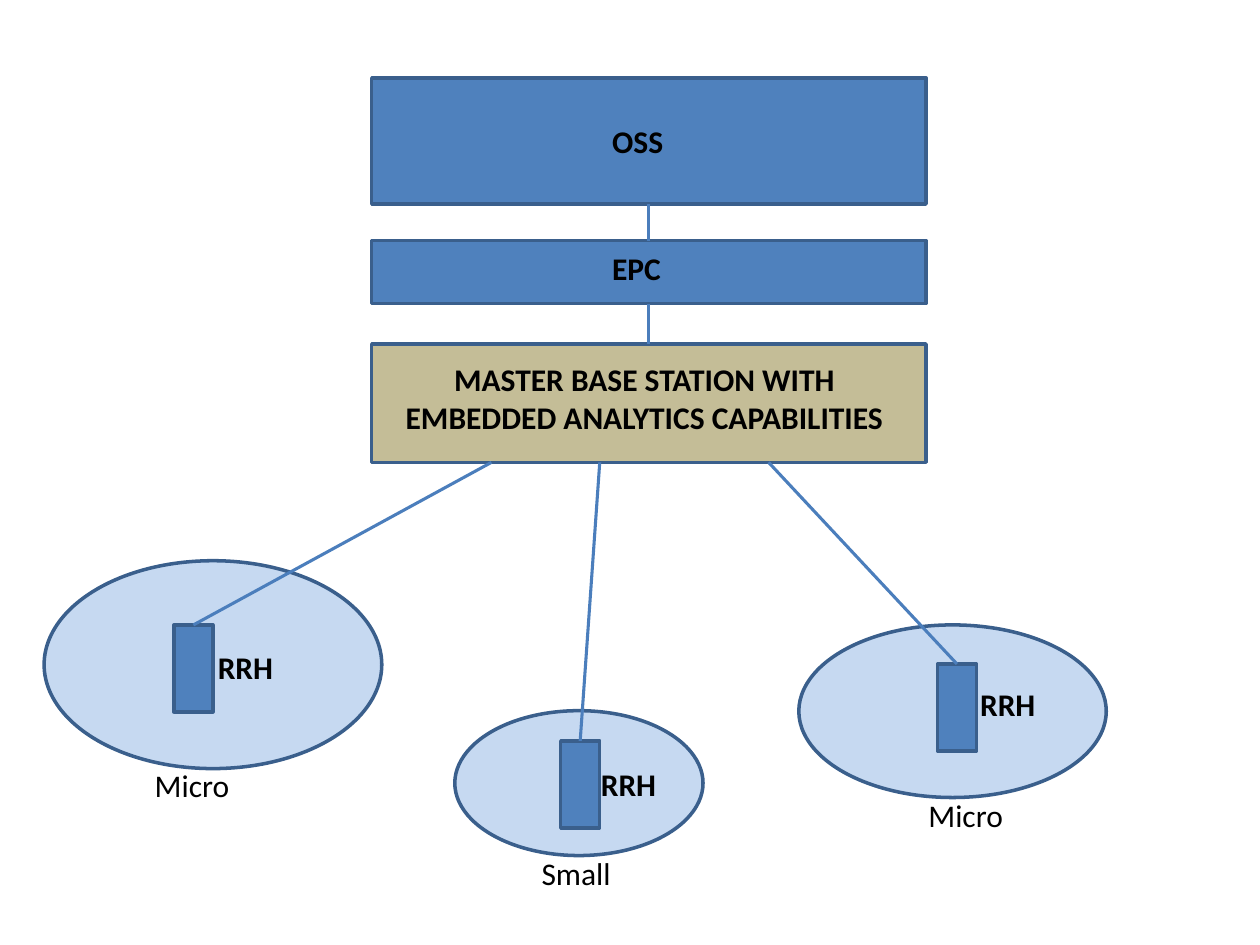
from lxml import etree
from pptx import Presentation
from pptx.dml.color import RGBColor
from pptx.enum.shapes import MSO_CONNECTOR, MSO_SHAPE
from pptx.enum.text import MSO_AUTO_SIZE, PP_ALIGN
from pptx.oxml.ns import qn
from pptx.util import Inches, Pt

RECTANGLE, ELLIPSE = MSO_SHAPE.RECTANGLE, MSO_SHAPE.OVAL
STRAIGHT = MSO_CONNECTOR.STRAIGHT
LEFT, CENTER = PP_ALIGN.LEFT, PP_ALIGN.CENTER
FIT_SHAPE = MSO_AUTO_SIZE.SHAPE_TO_FIT_TEXT
TOP, BOTTOM = 0, 2
COLORS = {
    "block": "4F81BD",
    "master": "C4BD97",
    "cell": "C6D9F1",
    "outline": "3A5F8C",
    "link": "4B7EBC",
    "text": "000000",
}
TEXT_HEIGHT = 0.4
RADIO_SIZE = (0.31, 0.69)

TIERS = [
    ((2.95, 0.62, 4.4, 1), "block", ["OSS"], (1.81, 0.3, 0.61, TEXT_HEIGHT)),
    ((2.95, 1.91, 4.4, 0.5), "block", ["EPC"], (1.81, 0.02, 0.59, TEXT_HEIGHT)),
    ((2.95, 2.73, 4.4, 0.94), "master",
     ["MASTER BASE STATION WITH", "EMBEDDED ANALYTICS CAPABILITIES"],
     (0.15, 0.08, 4.03, 0.71)),
]
CELLS = [
    ((0.35, 4.45, 2.68, 1.65), "Micro", (0.78, 1.58, 0.8), (1.03, 0.51), (0.25, 0.13), 3.9),
    ((3.61, 5.64, 1.97, 1.15), "Small", (0.59, 1.09, 0.76), (0.84, 0.24), (0.22, 0.14), 4.76),
    ((6.34, 4.96, 2.44, 1.37), "Micro", (0.93, 1.31, 0.8), (1.1, 0.31), (0.24, 0.12), 6.1),
]


def color(name):
    """Return the named colour."""
    return RGBColor.from_string(COLORS[name])


def add_block(slide, kind, box, fill):
    """Add an outlined shape filled with a named colour."""
    shape = slide.shapes.add_shape(kind, *map(Inches, box))
    shape.shadow.inherit = False
    shape.fill.solid()
    shape.fill.fore_color.rgb = color(fill)
    shape.line.color.rgb = color("outline")
    shape.line.width = Pt(2)
    return shape


def add_label(slide, box, lines, bold=True, alignment=LEFT):
    """Add an unwrapped label with one paragraph per line."""
    text_frame = slide.shapes.add_textbox(*map(Inches, box)).text_frame
    text_frame.word_wrap = False
    text_frame.auto_size = FIT_SHAPE
    text_frame.text = "\n".join(lines)
    for paragraph in text_frame.paragraphs:
        paragraph.alignment = alignment
        paragraph.font.name = "Calibri"
        paragraph.font.size = Pt(18)
        paragraph.font.bold = bold
        paragraph.font.color.rgb = color("text")


def add_link(slide, start, end):
    """Add a straight link between two points in slide units."""
    connector = slide.shapes.add_connector(STRAIGHT, *start, *end)
    connector.line.color.rgb = color("link")
    connector.line.width = Pt(1.75)
    etree.SubElement(connector._element.spPr, qn("a:effectLst"))
    return connector


def add_tier(slide, box, fill, lines, label_box):
    """Add one core network tier with its label placed relative to the box."""
    shape = add_block(slide, RECTANGLE, box, fill)
    left, top, width, height = label_box
    alignment = CENTER if len(lines) > 1 else LEFT
    add_label(slide, (box[0] + left, box[1] + top, width, height), lines, alignment=alignment)
    return shape


def add_cell(slide, box, name, name_box, radio_offset, label_offset):
    """Add a coverage cell with its name and radio head, and return the head."""
    left, top = box[:2]
    add_block(slide, ELLIPSE, box, "cell")
    name_left, name_top, name_width = name_box
    add_label(slide, (left + name_left, top + name_top, name_width, TEXT_HEIGHT), [name], bold=False)
    radio_left, radio_top = left + radio_offset[0], top + radio_offset[1]
    radio = add_block(slide, RECTANGLE, (radio_left, radio_top, *RADIO_SIZE), "block")
    label_left, label_top = label_offset
    add_label(slide, (radio_left + label_left, radio_top + label_top, 0.65, TEXT_HEIGHT), ["RRH"])
    return radio


def add_core(slide):
    """Add the linked stack of core tiers and return the master station."""
    tiers = [add_tier(slide, *tier) for tier in TIERS]
    for upper, lower in zip(tiers, tiers[1:]):
        link = add_link(slide, (0, 0), (0, 0))
        link.begin_connect(upper, BOTTOM)
        link.end_connect(lower, TOP)
    return tiers[-1]


def add_access(slide, master):
    """Add the cells and link each radio head to the master station."""
    for *cell, port in CELLS:
        radio = add_cell(slide, *cell)
        start = (Inches(port), master.top + master.height)
        link = add_link(slide, start, (radio.left, radio.top))
        link.end_connect(radio, TOP)


def main():
    """Build and save the network slide."""
    presentation = Presentation()
    presentation.slide_width = Inches(10)
    presentation.slide_height = Inches(7.5)
    slide = presentation.slides.add_slide(presentation.slide_layouts[6])
    master = add_core(slide)
    add_access(slide, master)
    presentation.save("out.pptx")


if __name__ == "__main__":
    main()
